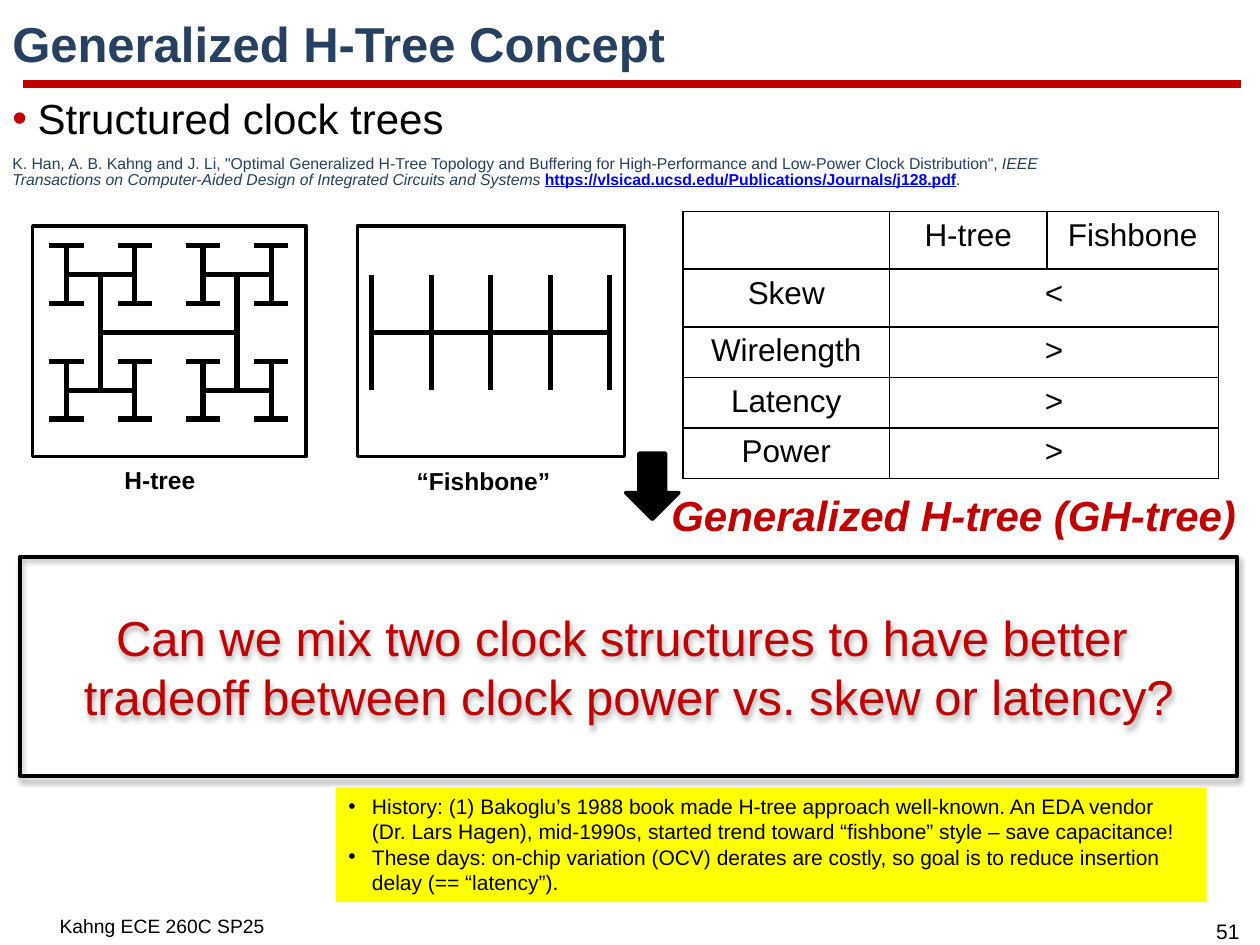
from lxml import etree
from pptx import Presentation
from pptx.dml.color import RGBColor
from pptx.enum.shapes import MSO_CONNECTOR, MSO_SHAPE
from pptx.enum.text import MSO_ANCHOR, PP_ALIGN
from pptx.oxml.ns import qn
from pptx.util import Pt

COLORS = {
    "black": "000000",
    "red": "C00000",
    "navy": "254061",
    "link": "0000FF",
    "yellow": "FFFF00",
}


def rgb(name):
    return RGBColor.from_string(COLORS[name])


def add_color(parent, name):
    return etree.SubElement(parent, qn("a:srgbClr"), val=COLORS[name])


def style_run(r, size, color="black", bold=False, italic=False, underline=False):
    r.font.name = "Arial"
    r.font.size = Pt(size)
    r.font.color.rgb = rgb(color)
    r.font.bold = bold
    r.font.italic = italic
    r.font.underline = underline


def style_frame(tf, size, align=PP_ALIGN.LEFT, **style):
    for p in tf.paragraphs:
        p.alignment = align
        for r in p.runs:
            style_run(r, size, **style)


def add_bullet(p, color, indent):
    pPr = p._p.get_or_add_pPr()
    pPr.set("marL", str(Pt(indent)))
    pPr.set("indent", str(-Pt(indent)))
    add_color(etree.SubElement(pPr, qn("a:buClr")), color)
    etree.SubElement(pPr, qn("a:buFont"), typeface="Arial")
    etree.SubElement(pPr, qn("a:buChar"), char="•")


def add_text(s, text, x, y, w, h, size, align=PP_ALIGN.LEFT, **style):
    tf = s.shapes.add_textbox(Pt(x), Pt(y), Pt(w), Pt(h)).text_frame
    tf.word_wrap = True
    tf.text = text
    style_frame(tf, size, align, **style)
    return tf


def add_box(s, x, y, w, h, kind=MSO_SHAPE.RECTANGLE, fill=None, line="black"):
    sp = s.shapes.add_shape(kind, Pt(x), Pt(y), Pt(w), Pt(h))
    sp.shadow.inherit = False
    if fill:
        sp.fill.solid()
        sp.fill.fore_color.rgb = rgb(fill)
    else:
        sp.fill.background()
    if line:
        sp.line.color.rgb = rgb(line)
        sp.line.width = Pt(2)
    else:
        sp.line.fill.background()
    return sp


def add_line(s, x1, y1, x2, y2, color="black", width=3):
    c = s.shapes.add_connector(MSO_CONNECTOR.STRAIGHT, Pt(x1), Pt(y1), Pt(x2), Pt(y2))
    c.line.color.rgb = rgb(color)
    c.line.width = Pt(width)
    etree.SubElement(c._element.spPr, qn("a:effectLst"))


def add_h_tree(s, x, y, half_w, half_h, levels):
    add_line(s, x - half_w, y, x + half_w, y)
    if levels == 0:
        return
    for end in (x - half_w, x + half_w):
        add_line(s, end, y - half_h, end, y + half_h)
        for tip in (y - half_h, y + half_h):
            add_h_tree(s, end, tip, half_w / 2, half_h / 2, levels - 1)


def add_fishbone(s, x, y, gap, ribs, half_h):
    add_line(s, x, y, x + gap * (ribs - 1), y)
    for i in range(ribs):
        add_line(s, x + gap * i, y - half_h, x + gap * i, y + half_h)


def add_borders(cell):
    tcPr = cell._tc.get_or_add_tcPr()
    for i, side in enumerate(("lnL", "lnR", "lnT", "lnB")):
        ln = etree.Element(qn(f"a:{side}"), w=str(Pt(1)))
        add_color(etree.SubElement(ln, qn("a:solidFill")), "black")
        tcPr.insert(i, ln)


def add_comparison(s, x, y, widths, heights, rows):
    table = s.shapes.add_table(
        len(rows), len(widths), Pt(x), Pt(y), Pt(sum(widths)), Pt(sum(heights))
    ).table
    table.first_row = False
    table.horz_banding = False
    for col, width in zip(table.columns, widths):
        col.width = Pt(width)
    for row, height, texts in zip(table.rows, heights, rows):
        row.height = Pt(height)
        for cell, text in zip(row.cells, texts):
            cell.text = text
            cell.fill.background()
            style_frame(cell.text_frame, 18, PP_ALIGN.CENTER)
            add_borders(cell)
        if len(texts) < len(widths):
            last = row.cells[len(widths) - 1]
            last.fill.background()
            add_borders(last)
            row.cells[1].merge(last)


def add_intro(s):
    tf = add_text(s, "Structured clock trees", 0, 54, 642, 70, 24)
    tf.paragraphs[0].line_spacing = 0.85
    add_bullet(tf.paragraphs[0], "red", 14.4)
    p = tf.add_paragraph()
    p.line_spacing = 0.85
    p.space_before = Pt(7.2)
    citation = [
        ('K. Han, A. B. Kahng and J. Li, "Optimal Generalized H-Tree Topology and '
         'Buffering for High-Performance and Low-Power Clock Distribution", ', {}),
        ("IEEE Transactions on Computer-Aided Design of Integrated Circuits and "
         "Systems ", {"italic": True}),
        ("https://vlsicad.ucsd.edu/Publications/Journals/j128.pdf",
         {"color": "link", "bold": True, "underline": True}),
        (".", {}),
    ]
    for text, style in citation:
        r = p.add_run()
        r.text = text
        style_run(r, 9, **{"color": "navy", **style})


def add_question(s):
    sp = add_box(s, 11.5, 318.2, 695.5, 125.3)
    effects = sp._element.spPr.find(qn("a:effectLst"))
    shadow = etree.SubElement(
        effects, qn("a:outerShdw"), blurRad=str(Pt(3.5)), dist=str(Pt(2.2)),
        dir="5400000", rotWithShape="0",
    )
    etree.SubElement(add_color(shadow, "black"), qn("a:alpha"), val="32000")
    tf = sp.text_frame
    tf.word_wrap = False
    tf.vertical_anchor = MSO_ANCHOR.MIDDLE
    tf.text = ("Can we mix two clock structures to have better \v"
               "tradeoff between clock power vs. skew or latency?")
    style_frame(tf, 28, PP_ALIGN.CENTER, color="red")


def add_history(s):
    tf = add_box(s, 192, 450, 497.5, 65.5, fill="yellow", line=None).text_frame
    tf.word_wrap = True
    tf.vertical_anchor = MSO_ANCHOR.TOP
    tf.text = (
        "History: (1) Bakoglu’s 1988 book made H-tree approach well-known. An EDA vendor "
        "(Dr. Lars Hagen), mid-1990s, started trend toward “fishbone” style – save capacitance!\n"
        "These days: on-chip variation (OCV) derates are costly, so goal is to reduce "
        "insertion delay (== “latency”)."
    )
    for p in tf.paragraphs:
        add_bullet(p, "black", 13.5)
    style_frame(tf, 12)


def main():
    prs = Presentation()
    prs.slide_width, prs.slide_height = Pt(720), Pt(540)
    s = prs.slides.add_slide(prs.slide_layouts[6])

    add_line(s, 13, 48, 709, 48, "red", 4.5)
    title = add_text(s, "Generalized H-Tree Concept", 0, 6.5, 720, 41.8, 28,
                     color="navy", bold=True)
    title.vertical_anchor = MSO_ANCHOR.MIDDLE
    title.paragraphs[0].line_spacing = 0.8
    add_intro(s)

    add_box(s, 18.7, 129, 156.3, 132)
    add_h_tree(s, 96.5, 190, 39, 33, 2)
    add_text(s, "H-tree", 64, 262, 65, 29, 14, bold=True)
    add_box(s, 204.3, 129, 152.7, 132)
    add_fishbone(s, 212.5, 190, 34, 5, 33)
    add_text(s, "“Fishbone”", 231, 263, 101, 29, 14, bold=True)

    add_comparison(s, 390.3, 120.8, [118, 90, 98], [33, 33, 28.8, 28.8, 28.8], [
        ["", "H-tree", "Fishbone"],
        ["Skew", "<"],
        ["Wirelength", ">"],
        ["Latency", ">"],
        ["Power", ">"],
    ])
    add_box(s, 357.5, 259, 30.5, 37.8, MSO_SHAPE.DOWN_ARROW, "black")
    add_text(s, "Generalized H-tree (GH-tree)", 376.5, 276, 342, 36.5, 24,
             color="red", bold=True, italic=True)

    add_question(s)
    add_history(s)
    add_text(s, "Kahng ECE 260C SP25", 27, 519, 135, 19.5, 11)
    add_text(s, "51", 684, 521.3, 35.3, 21.6, 12, PP_ALIGN.CENTER)
    prs.save("out.pptx")


if __name__ == "__main__":
    main()
